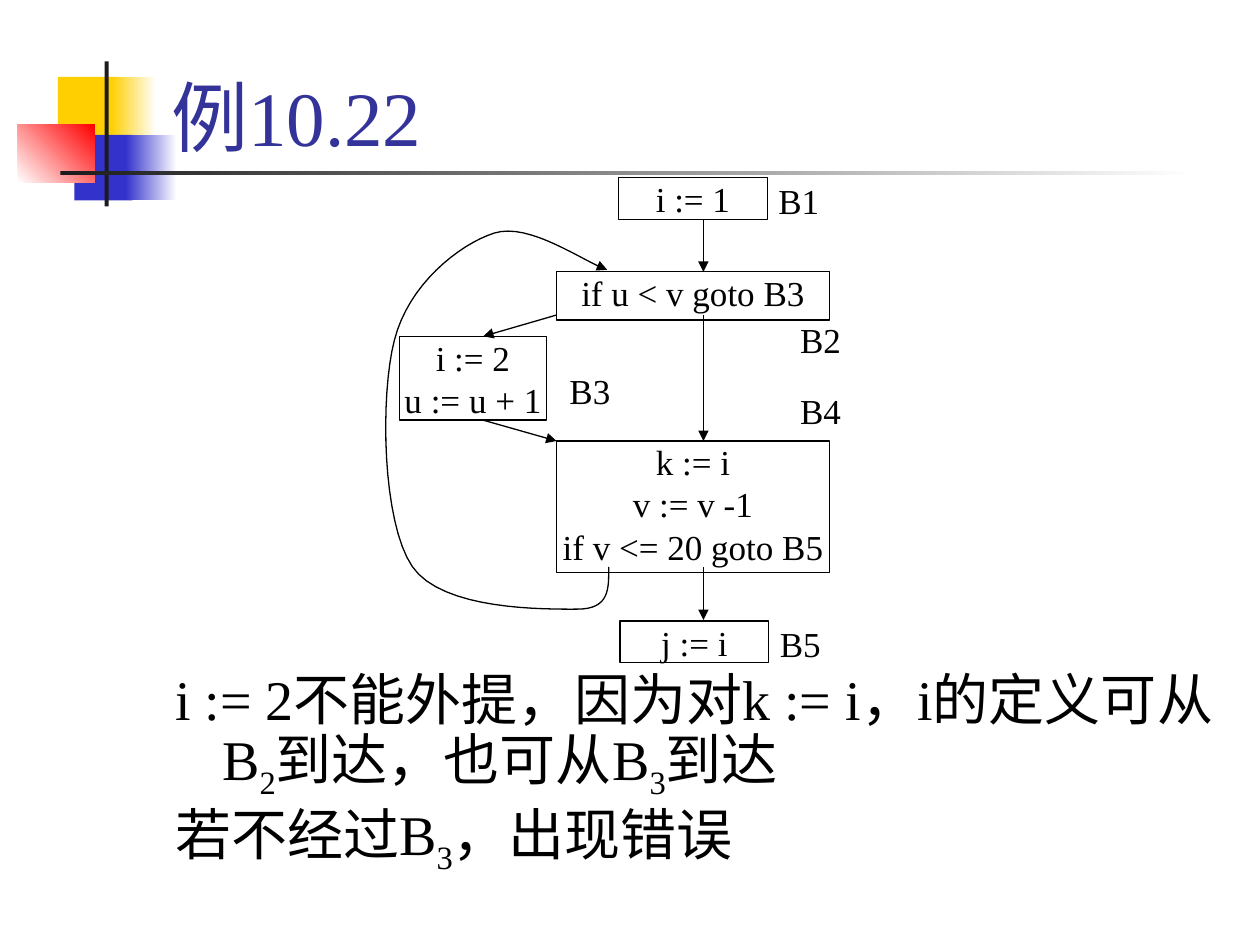
"""Build the slide for example 10.22: a flow graph with notes below."""
from lxml import etree
from pptx import Presentation
from pptx import util as u
from pptx.dml.color import RGBColor
from pptx.enum import shapes, text
from pptx.oxml import ns

BLACK = RGBColor(0x00, 0x00, 0x00)
WHITE = RGBColor(0xFF, 0xFF, 0xFF)
YELLOW = RGBColor(0xFF, 0xCF, 0x01)
BLUE = RGBColor(0x33, 0x33, 0xCC)
RED = RGBColor(0xFF, 0x00, 0x00)
CHARCOAL = RGBColor(0x1C, 0x1C, 0x1C)
NAVY = RGBColor(0x33, 0x33, 0x99)
FONT = "Times New Roman"
SUBSCRIPT = "-25000"

DECORATION = [
    ((1.17, 1.55, 1.22, 1.32), (YELLOW,), 0),
    ((2.24, 1.55, 0.91, 1.32), (YELLOW, WHITE), 0),
    ((1.5, 2.72, 1.17, 1.32), (BLUE,), 0),
    ((2.54, 2.72, 1.02, 1.32), (BLUE, WHITE), 0),
    ((0.36, 2.51, 1.55, 1.17), (WHITE, RED), 45),
    ((2.11, 1.24, 0.08, 2.92), (CHARCOAL,), 0),
    ((1.22, 3.45, 22.86, 0.08), (CHARCOAL, WHITE), 0),
]
BLOCKS = [
    ("B1", (15.44, 3.58), (12.47, 3.58, 3, 0.84), ["i := 1"]),
    ("B2", (15.88, 6.4), (11.22, 5.48, 5.5, 0.97), ["if u < v goto B3"]),
    ("B4", (15.88, 7.82), (11.22, 8.89, 5.5, 2.66),
     ["k := i", "v := v -1", "if v <= 20 goto B5"]),
    ("B5", (15.47, 12.52), (12.5, 12.52, 3, 0.84), ["j := i"]),
    ("B3", (11.23, 7.42), (8.05, 6.78, 2.97, 1.69), ["i := 2", "u := u + 1"]),
]
ARROWS = [
    (14.18, 4.42, 14.18, 5.48),
    (14.18, 6.35, 14.18, 8.89),
    (14.18, 11.43, 14.18, 12.5),
    (11.22, 6.35, 9.74, 6.78),
    (9.74, 8.47, 11.22, 8.89),
]
LOOP_START = (12.27, 11.43)
LOOP_CURVES = [
    ((12.27, 11.85), (12.3, 12.28), (11.64, 12.28)),
    ((10.98, 12.28), (8.92, 12.31), (8.31, 11.42)),
    ((7.7, 10.52), (7.66, 7.98), (7.95, 6.86)),
    ((8.23, 5.74), (9.25, 4.93), (9.96, 4.7)),
    ((10.67, 4.47), (11.77, 5.28), (12.24, 5.44)),
]
NOTES = [
    [("i := 2不能外提，因为对k := i，i的定义可从B", False), ("2", True),
     ("到达，也可从B", False), ("3", True), ("到达", False)],
    [("若不经过B", False), ("3", True), ("，出现错误", False)],
]


def lengths(values):
    """Turn centimetre numbers into lengths."""
    return [u.Cm(value) for value in values]


def add_span(para, words, size, color=BLACK, lowered=False):
    """Add one run of text to a paragraph."""
    span = para.add_run()
    span.text = words
    span.font.size = u.Pt(size)
    span.font.name = FONT
    span.font.color.rgb = color
    if lowered:
        span.font._element.set("baseline", SUBSCRIPT)


def next_para(frame, index):
    """Return the first paragraph of a frame, or a new one after it."""
    return frame.add_paragraph() if index else frame.paragraphs[0]


def add_patch(page, place, colors, angle):
    """Add a borderless rectangle in one colour or a two-colour gradient."""
    patch = page.shapes.add_shape(shapes.MSO_SHAPE.RECTANGLE, *lengths(place))
    patch.shadow.inherit = False
    patch.line.fill.background()
    if len(colors) == 1:
        patch.fill.solid()
        patch.fill.fore_color.rgb = colors[0]
        return
    patch.fill.gradient()
    patch.fill.gradient_angle = angle
    for stop, color in zip(patch.fill.gradient_stops, colors):
        stop.color.rgb = color


def add_text_frame(page, place, anchor=text.MSO_ANCHOR.TOP):
    """Add a wrapping text box and return its frame."""
    frame = page.shapes.add_textbox(*lengths(place)).text_frame
    frame.word_wrap = True
    frame.vertical_anchor = anchor
    return frame


def add_block(page, place, lines):
    """Add an outlined basic block with centred code lines."""
    box = page.shapes.add_shape(shapes.MSO_SHAPE.RECTANGLE, *lengths(place))
    box.shadow.inherit = False
    box.fill.background()
    style_line(box.line)
    frame = box.text_frame
    frame.margin_left = frame.margin_right = 0
    frame.margin_top = frame.margin_bottom = 0
    frame.vertical_anchor = text.MSO_ANCHOR.TOP
    frame.word_wrap = False
    for index, words in enumerate(lines):
        para = next_para(frame, index)
        para.alignment = text.PP_ALIGN.CENTER
        add_span(para, words, 20)


def add_label(page, corner, name):
    """Add the name of a basic block."""
    para = add_text_frame(page, (*corner, 1.47, 1.12)).paragraphs[0]
    para.line_spacing = 0.9
    add_span(para, name, 20)


def style_line(line, arrow=False):
    """Make a line thin and black, with an arrowhead at its end if wanted."""
    line.color.rgb = BLACK
    line.width = u.Pt(0.75)
    if arrow:
        head = etree.SubElement(line._get_or_add_ln(), ns.qn("a:tailEnd"))
        head.set("type", "triangle")


def add_arrow(page, ends):
    """Add a straight arrow."""
    arrow = page.shapes.add_connector(shapes.MSO_CONNECTOR.STRAIGHT, *lengths(ends))
    style_line(arrow.line, arrow=True)
    etree.SubElement(arrow._element.spPr, ns.qn("a:effectLst"))


def curve_points(start, curves, steps=16):
    """Return points along a chain of cubic curves, as lengths."""
    points = []
    for first, second, end in curves:
        for step in range(1, steps + 1):
            t = step / steps
            weights = ((1 - t) ** 3, 3 * t * (1 - t) ** 2, 3 * t * t * (1 - t), t ** 3)
            corners = zip(start, first, second, end)
            points.append(lengths(sum(w * c for w, c in zip(weights, axis))
                                  for axis in corners))
        start = end
    return points


def add_loop(page):
    """Add the curved back edge from B4 to B2."""
    builder = page.shapes.build_freeform(*lengths(LOOP_START))
    builder.add_line_segments(curve_points(LOOP_START, LOOP_CURVES), close=False)
    loop = builder.convert_to_shape()
    loop.shadow.inherit = False
    loop.fill.background()
    style_line(loop.line, arrow=True)


def add_notes(page):
    """Add the remarks below the flow graph."""
    frame = add_text_frame(page, (3.28, 13.54, 21.59, 4.45))
    for index, spans in enumerate(NOTES):
        para = next_para(frame, index)
        properties = para._p.get_or_add_pPr()
        properties.set("marL", str(u.Cm(0.95)))
        properties.set("indent", str(u.Cm(-0.95)))
        para.line_spacing = 0.8
        if index:
            para.space_before = u.Pt(8)
        for words, lowered in spans:
            add_span(para, words, 32, lowered=lowered)


def main():
    """Build and save the deck."""
    deck = Presentation()
    deck.slide_width, deck.slide_height = u.Cm(25.4), u.Cm(19.05)
    page = deck.slides.add_slide(deck.slide_layouts[6])
    for place, colors, angle in DECORATION:
        add_patch(page, place, colors, angle)
    title = add_text_frame(page, (3.2, 0.2, 21.64, 3.18), text.MSO_ANCHOR.BOTTOM)
    add_span(title.paragraphs[0], "例10.22", 44, NAVY)
    add_notes(page)
    for name, corner, place, lines in BLOCKS:
        add_block(page, place, lines)
        add_label(page, corner, name)
    for ends in ARROWS:
        add_arrow(page, ends)
    add_loop(page)
    deck.save("out.pptx")


if __name__ == "__main__":
    main()
